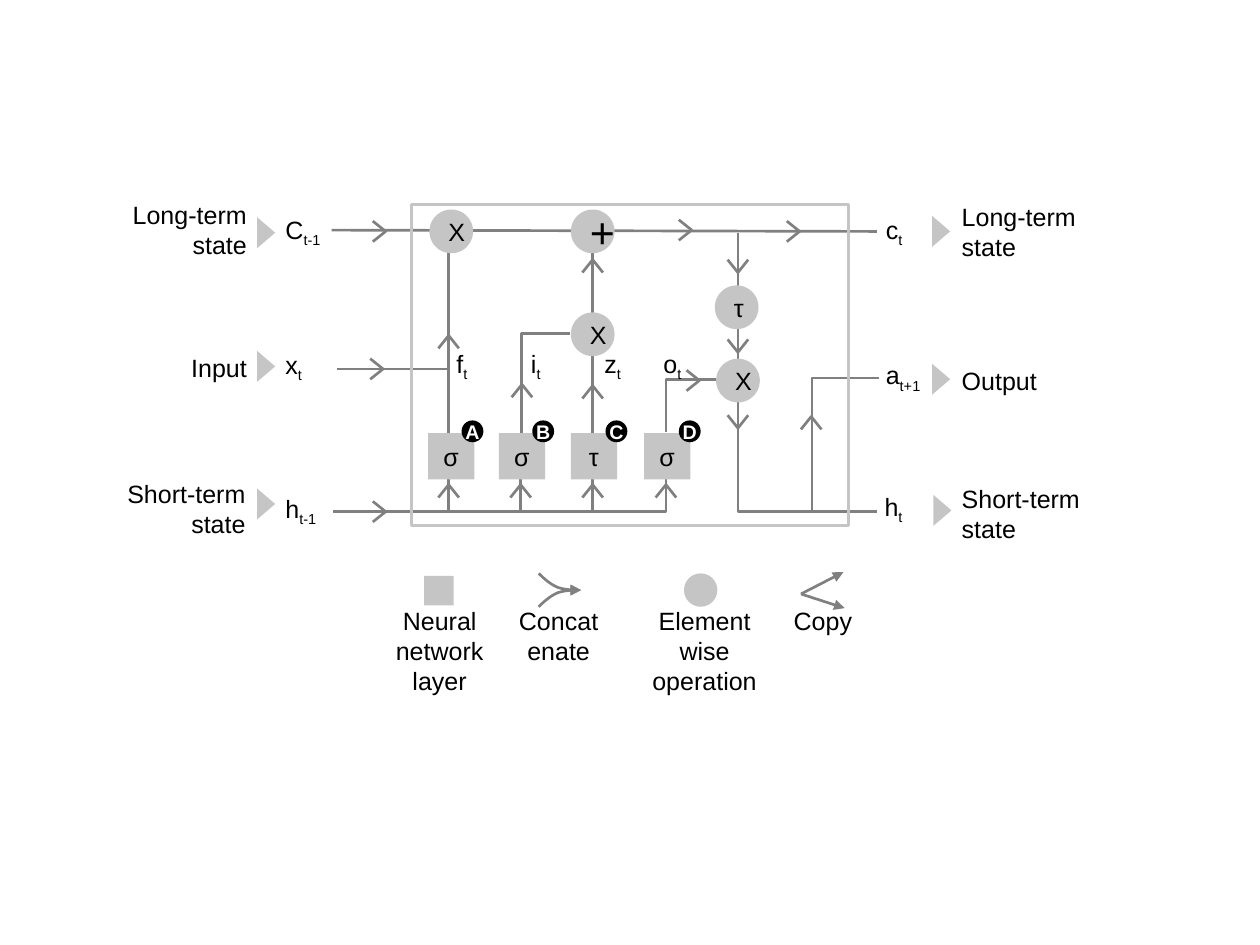
"""Build a slide showing an LSTM cell with its states, gates and legend."""
from typing import NamedTuple

from lxml import etree
from pptx import Presentation
from pptx.dml.color import RGBColor
from pptx.enum.shapes import MSO_CONNECTOR, MSO_SHAPE
from pptx.enum.text import MSO_ANCHOR, MSO_AUTO_SIZE, PP_ALIGN
from pptx.oxml.ns import qn
from pptx.util import Inches, Pt

BLACK = RGBColor(0x00, 0x00, 0x00)
WHITE = RGBColor(0xFF, 0xFF, 0xFF)
LINE_GRAY = RGBColor(0x80, 0x80, 0x80)
FILL_GRAY = RGBColor(0xC5, 0xC5, 0xC5)
STRAIGHT, ELBOW = MSO_CONNECTOR.STRAIGHT, MSO_CONNECTOR.ELBOW
RECTANGLE, OVAL, TRIANGLE = MSO_SHAPE.RECTANGLE, MSO_SHAPE.OVAL, MSO_SHAPE.ISOSCELES_TRIANGLE
LEFT, CENTER, RIGHT = PP_ALIGN.LEFT, PP_ALIGN.CENTER, PP_ALIGN.RIGHT
MIDDLE = MSO_ANCHOR.MIDDLE
FIT_SHAPE = MSO_AUTO_SIZE.SHAPE_TO_FIT_TEXT
FONT = "Arial"
LINE_PITCH = Pt(16.8)
LINE_WIDTH = Pt(1.5)

Point = tuple[float, float]


class Wire(NamedTuple):
    start: Point
    end: Point
    arrow: bool = False


class Bend(NamedTuple):
    start: Point
    end: Point
    rotation: int = 0
    corners: int = 1


class Chevron(NamedTuple):
    tip: Point
    direction: Point


class Node(NamedTuple):
    kind: MSO_SHAPE
    left: float
    top: float
    side: float
    text: str = ""
    size: int = 14
    color: RGBColor = BLACK
    fill: RGBColor = FILL_GRAY
    bold: bool = False
    tight: bool = False


class Label(NamedTuple):
    left: float
    top: float
    width: float
    height: float
    text: str
    subscript: str = ""
    align: PP_ALIGN = LEFT


UP, DOWN, AHEAD = (0, -1), (0, 1), (1, 0)
FORGET_X, INPUT_X, CANDIDATE_X, OUTPUT_X = 3.49, 4.05, 4.61, 5.18
STATE_X, COPY_X = 5.74, 6.31
BUS_Y, GATE_BOTTOM, GATE_TOP = 3.98, 3.7, 3.37

WIRES = [
    Wire((FORGET_X, GATE_TOP), (FORGET_X, 1.95)),
    Wire((CANDIDATE_X, GATE_TOP), (CANDIDATE_X, 1.95)),
    Wire((STATE_X, 2.79), (STATE_X, 1.81)),
    *[Wire((x, GATE_BOTTOM), (x, BUS_Y)) for x in (FORGET_X, INPUT_X, CANDIDATE_X)],
    Wire((2.58, 1.79), (6.82, 1.8)),
    Wire((6.23, 4.62), (6.56, 4.45), arrow=True),
    Wire((6.23, 4.62), (6.57, 4.73), arrow=True),
]
BENDS = [
    Bend((5.58, 3.35), (5.17, 2.96), 90),
    Bend((6.71, 3.01), (5.85, 4.09), 270),
    Bend((5.79, BUS_Y), (6.84, 2.94), corners=2),
    Bend((2.59, BUS_Y), (OUTPUT_X, GATE_BOTTOM)),
    Bend((2.62, 2.87), (4.36, BUS_Y), corners=2),
    Bend((4.63, 3.17), (3.86, 2.79), 90),
]
CHEVRONS = [
    *[Chevron((x, 3.77), UP) for x in (FORGET_X, INPUT_X, CANDIDATE_X, OUTPUT_X)],
    *[Chevron(tip, UP) for tip in (
        (FORGET_X, 2.61), (4.06, 2.99), (CANDIDATE_X, 3), (CANDIDATE_X, 2.02), (COPY_X, 3.24))],
    *[Chevron((STATE_X, y), DOWN) for y in (2.12, 2.74, 3.33)],
    *[Chevron(tip, AHEAD) for tip in (
        (3, 1.8), (2.98, 2.87), (3, 3.98), (5.38, 1.79), (5.44, 2.96), (6.22, 1.8))],
]
GATES = [(3.33, "σ", 3.59, "A"), (3.88, "σ", 4.14, "B"),
         (4.44, "τ", 4.71, "C"), (5.01, "σ", 5.28, "D")]
OPERATIONS = [(3.34, 1.63, "X"), (4.44, 2.43, "X"), (5.57, 2.79, "X"), (5.56, 2.22, "τ")]
NODES = [
    *[Node(RECTANGLE, x, GATE_TOP, 0.36, symbol, tight=True) for x, symbol, _, _ in GATES],
    *[Node(OVAL, x, 3.27, 0.17, letter, 11, WHITE, BLACK, True, True)
      for _, _, x, letter in GATES],
    *[Node(OVAL, x, y, 0.34, symbol) for x, y, symbol in OPERATIONS],
    Node(OVAL, 4.44, 1.63, 0.34, "+", 24),
    Node(RECTANGLE, 3.3, 4.48, 0.23),
    Node(OVAL, 5.32, 4.46, 0.26),
]
POINTERS = [(1.95, 1.74), (1.95, 2.78), (1.95, 3.85), (7.2, 1.73), (7.2, 2.88), (7.21, 3.9)]
LABELS = [
    Label(0.93, 1.55, 0.99, 0.47, "Long-term state", align=RIGHT),
    Label(1.23, 2.74, 0.69, 0.24, "Input", align=RIGHT),
    Label(0.89, 3.72, 1.02, 0.47, "Short-term state", align=RIGHT),
    Label(7.48, 1.57, 0.99, 0.47, "Long-term state"),
    Label(7.48, 2.84, 0.69, 0.24, "Output"),
    Label(7.48, 3.76, 1.02, 0.47, "Short-term state"),
    Label(2.22, 1.67, 0.36, 0.24, "C", "t-1"),
    Label(2.22, 2.72, 0.25, 0.24, "x", "t"),
    Label(2.22, 3.84, 0.36, 0.24, "h", "t-1"),
    Label(6.89, 1.67, 0.23, 0.24, "c", "t"),
    Label(6.89, 2.8, 0.36, 0.24, "a", "t+1"),
    Label(6.88, 3.82, 0.23, 0.24, "h", "t"),
    Label(3.55, 2.71, 0.19, 0.19, "f", "t"),
    Label(4.13, 2.71, 0.19, 0.19, "i", "t"),
    Label(4.7, 2.71, 0.19, 0.24, "z", "t"),
    Label(5.16, 2.71, 0.19, 0.19, "o", "t"),
    Label(2.99, 4.71, 0.86, 0.71, "Neural network layer", align=CENTER),
    Label(4, 4.71, 0.69, 0.47, "Concatenate", align=CENTER),
    Label(5.07, 4.71, 0.82, 0.71, "Element wise operation", align=CENTER),
    Label(6.14, 4.71, 0.52, 0.24, "Copy", align=CENTER),
]
MERGE_AXIS = 4.59
MERGE_CURVES = [
    [(4.19, 4.46), (4.24, 4.51), (4.29, 4.55), (4.34, 4.57)],
    [(4.34, 4.57), (4.4, 4.59), (4.46, 4.59), (4.52, 4.59)],
]


def write(frame, text: str, *, subscript: str = "", size: int = 14, color: RGBColor = BLACK,
          bold: bool = False, align: PP_ALIGN = CENTER, tight: bool = True) -> None:
    if tight:
        frame.margin_left = frame.margin_right = frame.margin_top = frame.margin_bottom = 0
    paragraph = frame.paragraphs[0]
    paragraph.alignment = align
    for part, baseline in ((text, 0), (subscript, -25000)):
        if part:
            run = paragraph.add_run()
            run.text = part
            run.font.name, run.font.size, run.font.bold = FONT, Pt(size), bold
            run.font.color.rgb = color
            if baseline:
                run.font._element.set("baseline", str(baseline))


def style_line(line, color: RGBColor = LINE_GRAY, arrow: bool = False) -> None:
    line.color.rgb = color
    line.width = LINE_WIDTH
    if arrow:
        etree.SubElement(line._get_or_add_ln(), qn("a:tailEnd"), type="triangle")


def draw_connector(shapes, kind: MSO_CONNECTOR, start: Point, end: Point, arrow: bool = False):
    connector = shapes.add_connector(kind, *map(Inches, start + end))
    style_line(connector.line, arrow=arrow)
    etree.SubElement(connector.element.spPr, qn("a:effectLst"))
    return connector


def draw_bend(shapes, bend: Bend) -> None:
    properties = draw_connector(shapes, ELBOW, bend.start, bend.end).element.spPr
    properties.find(qn("a:xfrm")).set("rot", str(bend.rotation * 60000))
    properties.find(qn("a:prstGeom")).set("prst", f"bentConnector{bend.corners + 1}")


def draw_path(shapes, points: list[Point], arrow: bool = False) -> None:
    corners = [(Inches(x), Inches(y)) for x, y in points]
    builder = shapes.build_freeform(*corners[0])
    builder.add_line_segments(corners[1:], close=False)
    outline = builder.convert_to_shape()
    outline.shadow.inherit = False
    outline.fill.background()
    style_line(outline.line, arrow=arrow)


def draw_chevron(shapes, chevron: Chevron) -> None:
    (x, y), (dx, dy) = chevron
    wings = [(x - 0.1 * dx + s * dy, y - 0.1 * dy + s * dx) for s in (-0.08, 0.08)]
    draw_path(shapes, [wings[0], chevron.tip, wings[1]])


def bezier(controls: list[Point], t: float) -> Point:
    weights = ((1 - t) ** 3, 3 * t * (1 - t) ** 2, 3 * t * t * (1 - t), t ** 3)
    x, y = (sum(w * c[i] for w, c in zip(weights, controls)) for i in (0, 1))
    return x, y


def draw_shape(shapes, kind: MSO_SHAPE, left: float, top: float, width: float, height: float,
               fill: RGBColor = FILL_GRAY):
    shape = shapes.add_shape(kind, *map(Inches, (left, top, width, height)))
    shape.shadow.inherit = False
    shape.fill.solid()
    shape.fill.fore_color.rgb = fill
    shape.line.fill.background()
    return shape


def draw_node(shapes, node: Node) -> None:
    shape = draw_shape(shapes, node.kind, node.left, node.top, node.side, node.side, node.fill)
    if node.text:
        shape.text_frame.word_wrap = not node.tight
        shape.text_frame.vertical_anchor = MIDDLE
        write(shape.text_frame, node.text, size=node.size, color=node.color,
              bold=node.bold, tight=node.tight)


def draw_label(shapes, label: Label) -> None:
    frame = shapes.add_textbox(*map(Inches, label[:4])).text_frame
    frame.word_wrap = True
    frame.auto_size = FIT_SHAPE
    if not label.subscript:
        frame.paragraphs[0].line_spacing = LINE_PITCH
    write(frame, label.text, subscript=label.subscript, align=label.align)


def main() -> None:
    deck = Presentation()
    deck.slide_width, deck.slide_height = Inches(9.8), Inches(7.35)
    shapes = deck.slides.add_slide(deck.slide_layouts[6]).shapes
    for wire in WIRES:
        draw_connector(shapes, STRAIGHT, *wire)
    for bend in BENDS:
        draw_bend(shapes, bend)
    merge = [bezier(curve, step / 6) for curve in MERGE_CURVES for step in range(7)]
    draw_path(shapes, merge, arrow=True)
    draw_path(shapes, [(x, 2 * MERGE_AXIS - y) for x, y in merge], arrow=True)
    for chevron in CHEVRONS:
        draw_chevron(shapes, chevron)
    cell = draw_shape(shapes, RECTANGLE, 3.2, 1.59, 3.4, 2.5)
    cell.fill.background()
    style_line(cell.line, FILL_GRAY)
    for node in NODES:
        draw_node(shapes, node)
    for left, top in POINTERS:
        draw_shape(shapes, TRIANGLE, left, top, 0.24, 0.14).rotation = 90
    for label in LABELS:
        draw_label(shapes, label)
    deck.save("out.pptx")


if __name__ == "__main__":
    main()
